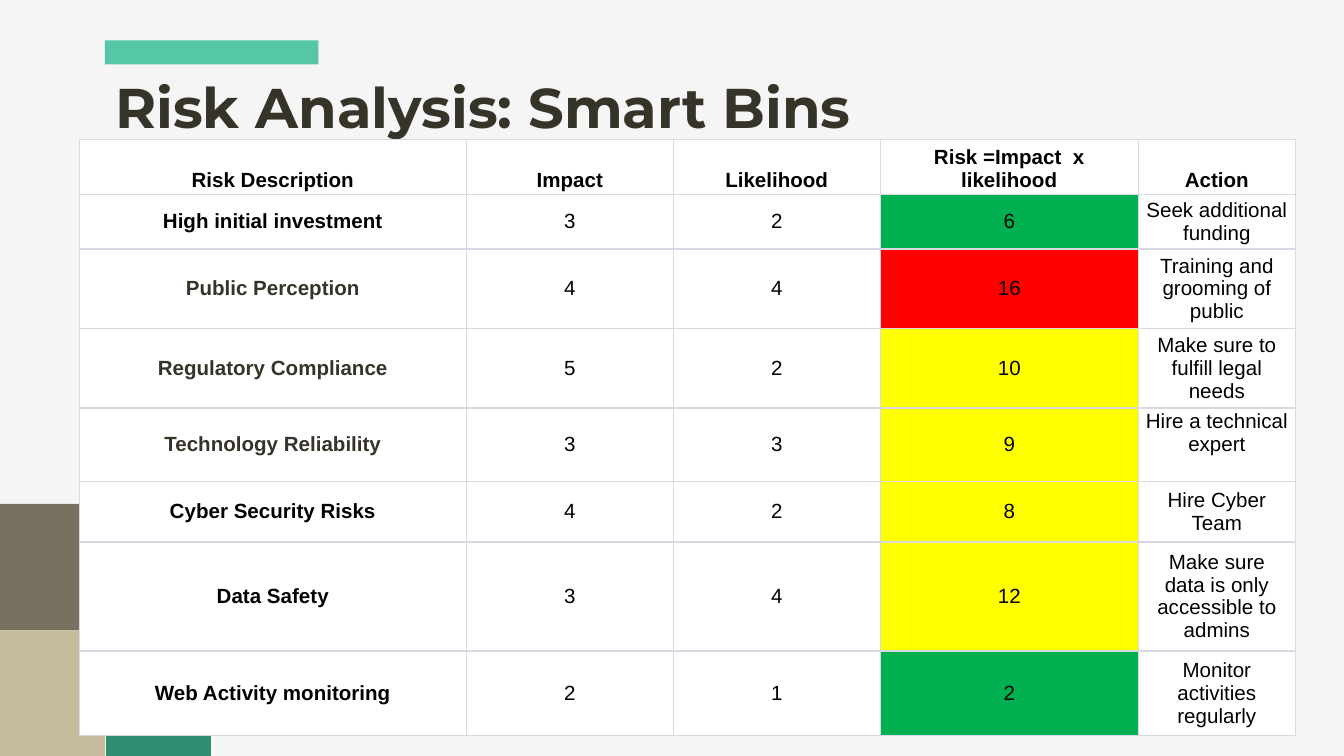
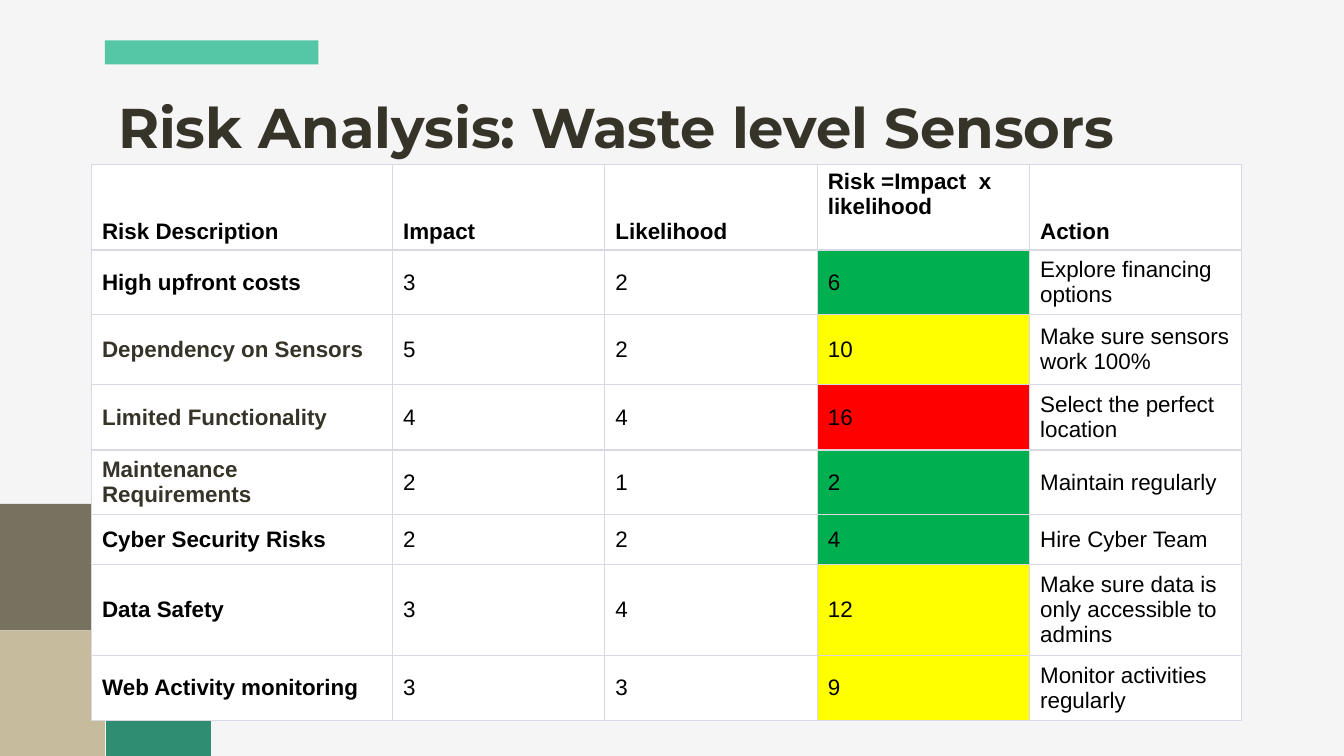
from dataclasses import dataclass

from lxml import etree
from pptx import Presentation
from pptx.dml.color import RGBColor
from pptx.enum.shapes import MSO_SHAPE
from pptx.enum.text import MSO_ANCHOR, PP_ALIGN
from pptx.oxml.ns import qn
from pptx.util import Inches, Pt

RECTANGLE = MSO_SHAPE.RECTANGLE
TOP, MIDDLE, BOTTOM = MSO_ANCHOR.TOP, MSO_ANCHOR.MIDDLE, MSO_ANCHOR.BOTTOM
LEFT, CENTER = PP_ALIGN.LEFT, PP_ALIGN.CENTER


@dataclass(frozen=True)
class Theme:
    background: str = "F5F5F5"
    dark: str = "363329"
    black: str = "000000"
    white: str = "FFFFFF"
    border: str = "D9D9E3"
    accent: str = "55C7A6"
    green: str = "2F8D72"
    sand: str = "C6BB9D"
    stone: str = "77715F"
    low_risk: str = "00B050"
    medium_risk: str = "FFFF00"
    high_risk: str = "FF0000"
    title_font: str = "Montserrat"
    body_font: str = "Arial"
    title_size: int = 30
    thin: float = 0.5
    thick: float = 1


@dataclass(frozen=True)
class RiskTable:
    left: float
    top: float
    columns: tuple
    heights: tuple
    risks: tuple  # description, impact, likelihood, action
    size: int
    align: int
    tight_rows: int  # leading rows with half the margins
    top_cells: tuple  # cells whose text starts at the top


HEADERS = ("Risk Description", "Impact", "Likelihood",
           "Risk =Impact  x likelihood", "Action")
SCORE_COLUMN = 3
DARK_LABEL_ROWS = (2, 3, 4)

BINS = RiskTable(
    left=0.59, top=1.04,
    columns=(2.88, 1.54, 1.54, 1.92, 1.17),
    heights=(0.38, 0.38, 0.55, 0.55, 0.55, 0.42, 0.76, 0.59),
    risks=(
        ("High initial investment", 3, 2, "Seek additional funding"),
        ("Public Perception", 4, 4, "Training and grooming of public"),
        ("Regulatory Compliance", 5, 2, "Make sure to fulfill legal needs"),
        ("Technology Reliability", 3, 3, "Hire a technical expert"),
        ("Cyber Security Risks", 4, 2, "Hire Cyber Team"),
        ("Data Safety", 3, 4, "Make sure data is only accessible to admins"),
        ("Web Activity monitoring", 2, 1, "Monitor activities regularly"),
    ),
    size=11, align=CENTER, tight_rows=5, top_cells=((4, 4),))

SENSORS = RiskTable(
    left=0.68, top=1.22,
    columns=(2.24,) + (1.58,) * 4,
    heights=(0.64, 0.45, 0.52, 0.49, 0.45, 0.37, 0.67, 0.45),
    risks=(
        ("High upfront costs", 3, 2, "Explore financing options"),
        ("Dependency on Sensors", 5, 2, "Make sure sensors work 100%"),
        ("Limited Functionality", 4, 4, "Select the perfect location"),
        ("Maintenance Requirements", 2, 1, "Maintain regularly"),
        ("Cyber Security Risks", 2, 2, "Hire Cyber Team"),
        ("Data Safety", 3, 4, "Make sure data is only accessible to admins"),
        ("Web Activity monitoring", 3, 3, "Monitor activities regularly"),
    ),
    size=12, align=LEFT, tight_rows=0, top_cells=((0, SCORE_COLUMN),))


class Deck:
    def __init__(self, theme):
        self.theme = theme
        self.presentation = Presentation()
        self.presentation.slide_width = Inches(10)
        self.presentation.slide_height = Inches(5.625)
        self.slide = None

    def add_slide(self):
        theme = self.theme
        self.slide = self.presentation.slides.add_slide(
            self.presentation.slide_layouts[6])
        fill = self.slide.background.fill
        fill.solid()
        fill.fore_color.rgb = RGBColor.from_string(theme.background)
        # Corner blocks and the bar above the title
        self.add_block(0.79, 4.69, 0.78, 0.94, theme.green)
        self.add_block(0, 4.69, 0.78, 0.94, theme.sand)
        self.add_block(0, 3.75, 0.78, 0.94, theme.stone)
        self.add_block(0.78, 0.3, 1.59, 0.18, theme.accent)

    def add_block(self, left, top, width, height, color):
        shape = self.slide.shapes.add_shape(
            RECTANGLE, Inches(left), Inches(top), Inches(width), Inches(height))
        shape.shadow.inherit = False
        shape.fill.solid()
        shape.fill.fore_color.rgb = RGBColor.from_string(color)
        shape.line.fill.background()

    def add_run(self, paragraph, text, font, size, color, bold):
        run = paragraph.add_run()
        run.text = text
        run.font.name = font
        run.font.size = Pt(size)
        run.font.bold = bold
        run.font.color.rgb = RGBColor.from_string(color)

    def add_title(self, text, left, top, width, height):
        theme = self.theme
        frame = self.slide.shapes.add_textbox(
            Inches(left), Inches(top), Inches(width), Inches(height)).text_frame
        frame.word_wrap = True
        frame.vertical_anchor = TOP
        frame.margin_left = frame.margin_right = Inches(0.1)
        frame.margin_top = frame.margin_bottom = Inches(0.1)
        self.add_run(frame.paragraphs[0], text, theme.title_font,
                     theme.title_size, theme.dark, True)

    def risk_color(self, score):
        if score < 8:
            return self.theme.low_risk
        return self.theme.medium_risk if score < 16 else self.theme.high_risk

    def set_borders(self, cell, top, bottom):
        thin = self.theme.thin
        properties = cell._tc.get_or_add_tcPr()
        widths = {"a:lnL": thin, "a:lnR": thin, "a:lnT": top, "a:lnB": bottom}
        for position, (tag, width) in enumerate(widths.items()):
            line = etree.Element(qn(tag), w=str(Pt(width)))
            fill = etree.SubElement(line, qn("a:solidFill"))
            etree.SubElement(fill, qn("a:srgbClr"), val=self.theme.border)
            properties.insert(position, line)

    def add_risk_table(self, data):
        theme = self.theme
        rows = [HEADERS] + [
            (name, impact, likelihood, impact * likelihood, action)
            for name, impact, likelihood, action in data.risks]
        last = len(rows) - 1
        table = self.slide.shapes.add_table(
            len(rows), len(HEADERS), Inches(data.left), Inches(data.top),
            Inches(sum(data.columns)), Inches(sum(data.heights))).table
        table.horz_banding = False
        for column, width in zip(table.columns, data.columns):
            column.width = Inches(width)

        for r, values in enumerate(rows):
            table.rows[r].height = Inches(data.heights[r])
            margin = 0.04 if r < data.tight_rows else 0.08
            for c, value in enumerate(values):
                cell = table.cell(r, c)
                cell.margin_left = cell.margin_right = Inches(margin)
                cell.margin_top = cell.margin_bottom = Inches(margin / 2)
                cell.vertical_anchor = BOTTOM if r == 0 else MIDDLE
                if (r, c) in data.top_cells:
                    cell.vertical_anchor = TOP
                scored = r > 0 and c == SCORE_COLUMN
                cell.fill.solid()
                cell.fill.fore_color.rgb = RGBColor.from_string(
                    self.risk_color(value) if scored else theme.white)
                self.set_borders(cell,
                                 theme.thin if r == 0 else theme.thick,
                                 theme.thin if r == last else theme.thick)
                paragraph = cell.text_frame.paragraphs[0]
                paragraph.alignment = data.align
                dark = c == 0 and r in DARK_LABEL_ROWS
                self.add_run(paragraph, str(value), theme.body_font, data.size,
                             theme.dark if dark else theme.black,
                             r == 0 or c == 0)


def main():
    deck = Deck(Theme())

    # Smart bins
    deck.add_slide()
    deck.add_title("Risk Analysis: Smart Bins", 0.76, 0.44, 6, 0.6)
    deck.add_risk_table(BINS)

    # Waste level sensors
    deck.add_slide()
    deck.add_title("Risk Analysis: Waste level Sensors", 0.78, 0.59, 8.88, 0.63)
    deck.add_risk_table(SENSORS)

    deck.presentation.save("out.pptx")


if __name__ == "__main__":
    main()
